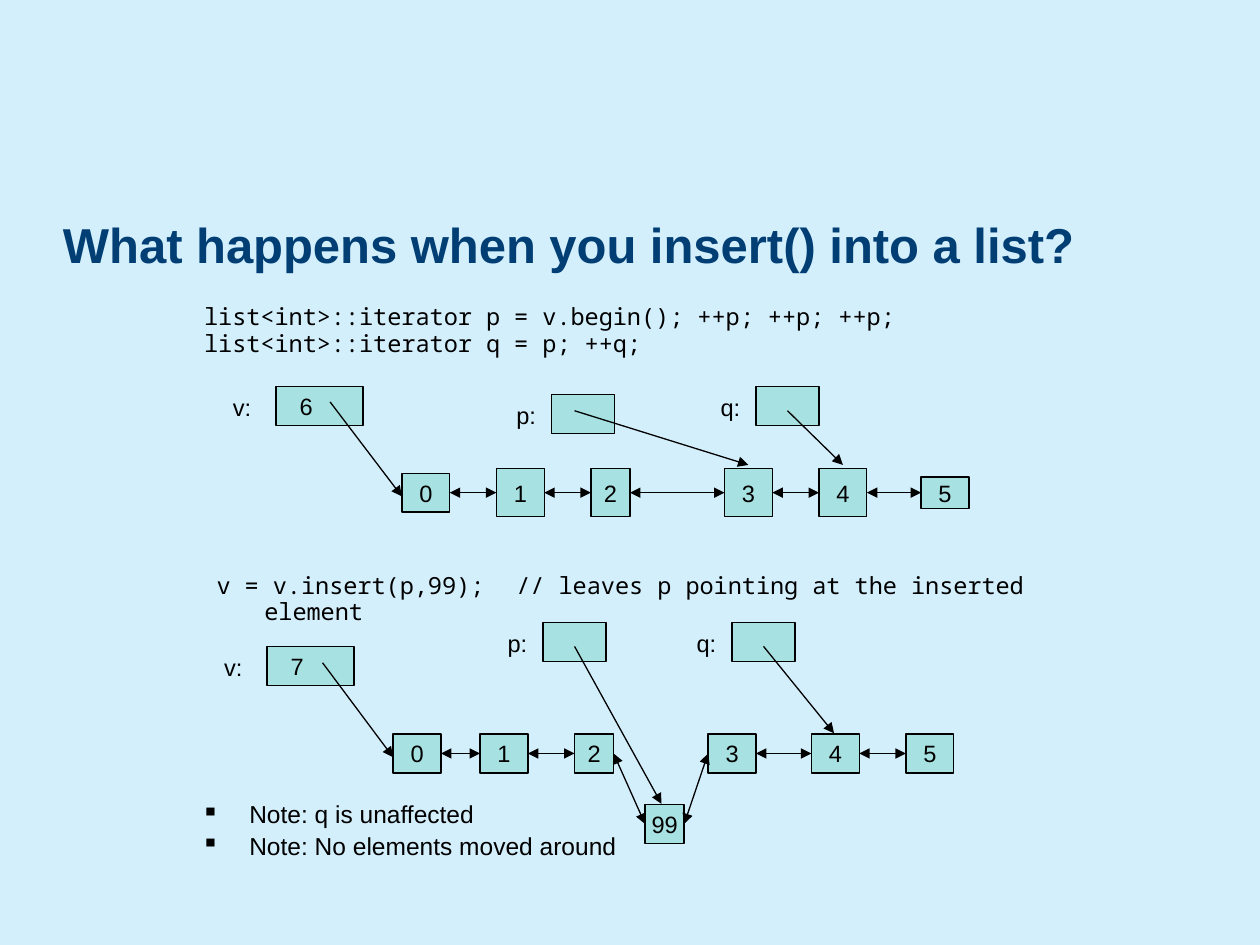
from dataclasses import dataclass
from itertools import pairwise

from lxml.etree import SubElement
from pptx import Presentation
from pptx.dml.color import RGBColor
from pptx.enum.shapes import MSO_CONNECTOR as Connector, MSO_SHAPE as Shape
from pptx.enum.text import MSO_ANCHOR as Anchor, PP_ALIGN as Align
from pptx.oxml.ns import qn
from pptx.util import Inches, Pt

COLORS = {"background": "D4EFFC", "title": "003E74", "cell": "A7E1E1", "ink": "000000"}
SANS, MONO = "Arial", "Noto Sans Mono"


@dataclass
class Pointer:
    """A labelled box with an arrow to a node, in diagram coordinates."""
    name: str
    left: float
    top: float
    start: tuple
    end: tuple
    width: float = 0.5
    size: str = ""


@dataclass
class Node:
    """A list element centred on a height, in diagram coordinates."""
    value: str
    left: float
    middle: float
    width: float = 0.38
    height: float = 0.31


def color(name):
    """Return the named colour."""
    return RGBColor.from_string(COLORS[name])


def style_font(font, size, name=SANS, ink="ink", bold=False):
    """Set the typeface, size and colour of a font."""
    font.name, font.size, font.bold = name, Pt(size), bold
    font.color.rgb = color(ink)


def add_text(slide, box, lines, size=13.5, font=SANS, ink="ink", bold=False,
             spacing=None, hanging=0, bullet=None):
    """Place paragraphs in a wrapping box and return its text frame."""
    frame = slide.shapes.add_textbox(*map(Inches, box)).text_frame
    frame.word_wrap = True
    for number, line in enumerate(lines):
        paragraph = frame.add_paragraph() if number else frame.paragraphs[0]
        paragraph.text = line
        if spacing:
            paragraph.line_spacing = spacing
        if number:
            paragraph.space_before = Pt(size * 0.2)
        if hanging:
            properties = paragraph._p.get_or_add_pPr()
            properties.set("marL", str(Inches(hanging)))
            properties.set("indent", str(-Inches(hanging)))
            if bullet:
                SubElement(properties, qn("a:buChar"), char=bullet)
        for run in paragraph.runs:
            style_font(run.font, size, font, ink, bold)
    return frame


def add_cell(slide, left, top, width, height, value="", right_inset=0.1):
    """Draw one outlined memory cell."""
    cell = slide.shapes.add_shape(Shape.RECTANGLE, *map(Inches, (left, top, width, height)))
    cell.shadow.inherit = False
    cell.fill.solid()
    cell.fill.fore_color.rgb = color("cell")
    cell.line.color.rgb = color("ink")
    cell.line.width = Pt(0.75)
    if value:
        frame = cell.text_frame
        frame.text = value
        frame.word_wrap = False
        frame.vertical_anchor = Anchor.MIDDLE
        frame.margin_right = Inches(right_inset)
        frame.paragraphs[0].alignment = Align.CENTER
        style_font(frame.paragraphs[0].runs[0].font, 13.5)


def add_arrow(slide, start, end, ends=("tailEnd",)):
    """Draw a line with triangles at the given ends."""
    arrow = slide.shapes.add_connector(Connector.STRAIGHT, *map(Inches, (*start, *end)))
    arrow.line.color.rgb = color("ink")
    arrow.line.width = Pt(0.75)
    for end_name in ends:
        SubElement(arrow.line._get_or_add_ln(), qn(f"a:{end_name}"), type="triangle")
    SubElement(arrow._element.spPr, qn("a:effectLst"))


def add_title(slide, left, top, width, height):
    """Place the slide title."""
    frame = add_text(slide, (left, top, width, height),
                     ["What happens when you insert() into a list?"],
                     size=28, ink="title", bold=True)
    frame.margin_left = frame.margin_right = frame.margin_bottom = 0
    frame.vertical_anchor = Anchor.MIDDLE


def add_setup_code(slide, left, top, width, height):
    """Place the iterator declarations."""
    frame = add_text(slide, (left, top, width, height),
                     ["list<int>::iterator p = v.begin(); ++p; ++p; ++p;",
                      "list<int>::iterator q = p; ++q;"],
                     font=MONO, spacing=0.8, hanging=0.38)
    frame.margin_left = frame.margin_right = frame.margin_top = frame.margin_bottom = 0


def add_insert_code(slide, left, top, width, height):
    """Place the insert call."""
    add_text(slide, (left, top, width, height),
             ["v = v.insert(p,99);\t// leaves p pointing at the inserted element"],
             font=MONO, spacing=0.9, hanging=0.38)


def add_notes_list(slide, left, top, width, height):
    """Place the bulleted remarks."""
    add_text(slide, (left, top, width, height),
             ["Note: q is unaffected", "Note: No elements moved around"],
             size=14, spacing=0.9, hanging=0.38, bullet="▪")


def add_list_diagram(slide, left, top, pointers, nodes):
    """Draw a doubly linked list with the pointers into it."""
    def at(x, y):
        return left + x, top + y

    for node in nodes:
        add_cell(slide, *at(node.left, node.middle - node.height / 2),
                 node.width, node.height, node.value)
    for one, following in pairwise(nodes):
        add_arrow(slide, at(one.left + one.width, one.middle),
                  at(following.left, following.middle), ("headEnd", "tailEnd"))
    for pointer in pointers:
        label_width = 0.44 if pointer.size else 0.38
        add_text(slide, (*at(pointer.left - label_width, pointer.top), label_width, 0.33),
                 [f"{pointer.name}:"])
        add_cell(slide, *at(pointer.left, pointer.top), pointer.width, 0.31,
                 pointer.size, right_inset=0.31)
        add_arrow(slide, at(*pointer.start), at(*pointer.end))


def main():
    """Build and save the slide."""
    deck = Presentation()
    deck.slide_width, deck.slide_height = Inches(10), Inches(7.5)
    slide = deck.slides.add_slide(deck.slide_layouts[6])
    slide.background.fill.solid()
    slide.background.fill.fore_color.rgb = color("background")

    add_title(slide, 0.5, 1.63, 9, 0.56)
    add_setup_code(slide, 1.62, 2.44, 6.75, 0.44)
    add_list_diagram(
        slide, 1.75, 3.07,
        [Pointer("v", 0.44, 0, (0.87, 0.12), (1.44, 0.87), width=0.69, size="6"),
         Pointer("p", 2.63, 0.06, (2.81, 0.19), (4.19, 0.62)),
         Pointer("q", 4.25, 0, (4.5, 0.19), (4.94, 0.62))],
        [Node("0", 1.44, 0.84),
         Node("1", 2.19, 0.84, height=0.38),
         Node("2", 2.94, 0.84, width=0.31, height=0.38),
         Node("3", 4, 0.84, height=0.38),
         Node("4", 4.75, 0.84, height=0.38),
         Node("5", 5.56, 0.84, height=0.25)])
    add_insert_code(slide, 1.62, 4.51, 6.75, 0.44)
    add_list_diagram(
        slide, 1.69, 4.94,
        [Pointer("v", 0.43, 0.19, (0.87, 0.32), (1.43, 1.07), width=0.69, size="7"),
         Pointer("p", 2.62, 0, (2.87, 0.19), (3.56, 1.44)),
         Pointer("q", 4.12, 0, (4.37, 0.19), (4.93, 0.88))],
        [Node("0", 1.43, 1.04),
         Node("1", 2.12, 1.04),
         Node("2", 2.87, 1.04, width=0.31),
         Node("99", 3.43, 1.6, width=0.31),
         Node("3", 3.93, 1.04),
         Node("4", 4.75, 1.04),
         Node("5", 5.5, 1.04)])
    add_notes_list(slide, 1.5, 6.32, 6.75, 0.44)
    deck.save("out.pptx")


if __name__ == "__main__":
    main()
